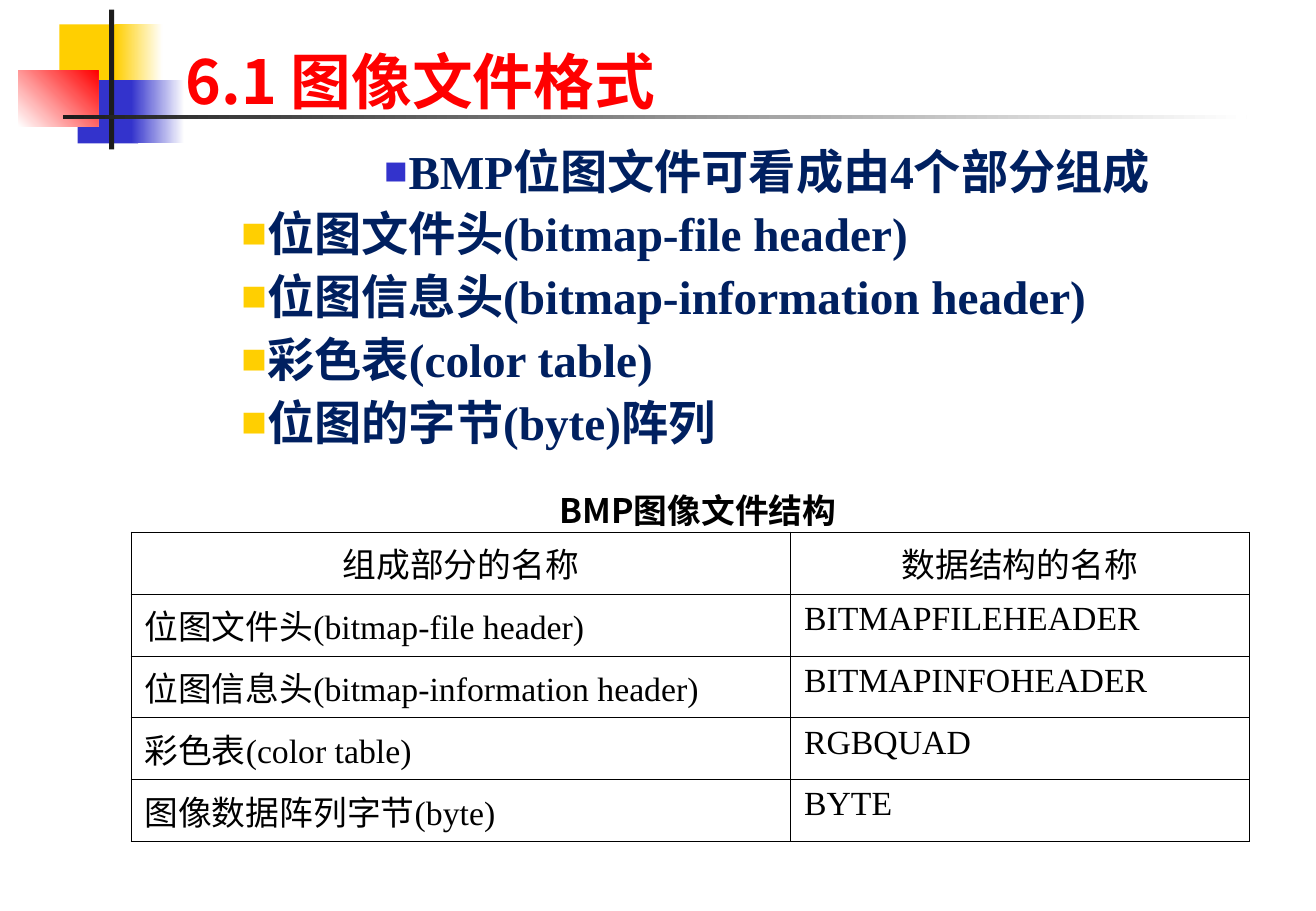
from dataclasses import dataclass

from lxml import etree
from pptx import Presentation
from pptx import util as u
from pptx.dml.color import RGBColor
from pptx.enum import shapes, text
from pptx.oxml import ns


@dataclass(frozen=True)
class Theme:
    yellow: str = "FFCF01"
    blue: str = "3333CC"
    red: str = "FF0000"
    dark: str = "1C1C1C"
    white: str = "FFFFFF"
    navy: str = "002060"
    black: str = "000000"
    sans: str = "Noto Sans CJK SC"
    serif: str = "Times New Roman"
    title_size: float = 36
    body_size: float = 28
    table_size: float = 20
    border: float = 0.45


@dataclass(frozen=True)
class Box:
    left: float
    top: float
    width: float
    height: float

    def share(self, left, top, width, height):
        """Inner box, given in percent of this one."""
        return Box(self.left + self.width * left / 100,
                   self.top + self.height * top / 100,
                   self.width * width / 100, self.height * height / 100)

    def place(self):
        return [u.Inches(side) for side in (self.left, self.top, self.width, self.height)]


THEME = Theme()
PAGE = Box(0, 0, 10.84, 7.5)

TITLE = "6.1 图像文件格式"
LEAD = "BMP位图文件可看成由4个部分组成"
SECTIONS = ["位图文件头(bitmap-file header)", "位图信息头(bitmap-information header)",
            "彩色表(color table)", "位图的字节(byte)阵列"]
CAPTION = "BMP图像文件结构"
ROWS = [("组成部分的名称", "数据结构的名称"),
        (SECTIONS[0], "BITMAPFILEHEADER"),
        (SECTIONS[1], "BITMAPINFOHEADER"),
        (SECTIONS[2], "RGBQUAD"),
        ("图像数据阵列字节(byte)", "BYTE")]


def rgb(color):
    return RGBColor.from_string(color)


def write(paragraph, words, size, color, name, bold=False):
    paragraph.text = words
    font = paragraph.font
    font.size, font.name, font.bold = u.Pt(size), name, bold
    font.color.rgb = rgb(color)


def move(shape, box):
    shape.left, shape.top, shape.width, shape.height = box.place()


# Header ornament: colour blocks and two crossing bars
def add_ornament(slide, box):
    theme = THEME
    blocks = [
        ((3.36, 10.43, 5.14, 45.22), (theme.yellow,), 0),
        ((7.91, 10.43, 3.85, 45.22), (theme.yellow, theme.white), 0),
        ((4.84, 50.43, 4.94, 45.22), (theme.blue,), 0),
        ((9.19, 50.43, 4.35, 45.22), (theme.blue, theme.white), 0),
        ((0, 43.48, 6.52, 40), (theme.white, theme.red), 45),
        ((7.41, 0, 0.4, 100), (theme.dark,), 0),
        ((3.66, 75.65, 96.34, 2.61), (theme.dark, theme.white), 0),
    ]
    for area, colors, angle in blocks:
        block = slide.shapes.add_shape(shapes.MSO_SHAPE.RECTANGLE, *box.share(*area).place())
        block.shadow.inherit = False
        block.line.fill.background()
        if len(colors) == 1:
            block.fill.solid()
            block.fill.fore_color.rgb = rgb(colors[0])
        else:
            block.fill.gradient()
            block.fill.gradient_angle = angle
            for stop, color in zip(block.fill.gradient_stops, colors):
                stop.color.rgb = rgb(color)


def add_title(slide, box):
    title = slide.shapes.title
    move(title, box)
    frame = title.text_frame
    frame.auto_size = text.MSO_AUTO_SIZE.NONE
    frame.vertical_anchor = text.MSO_ANCHOR.BOTTOM
    paragraph = frame.paragraphs[0]
    write(paragraph, TITLE, THEME.title_size, THEME.red, THEME.sans, True)
    paragraph.alignment = text.PP_ALIGN.LEFT
    slide.shapes._spTree.append(title._element)  # in front of the ornament


def set_bullet(paragraph, margin, color, percent):
    properties = paragraph._p.get_or_add_pPr()
    properties.set("marL", str(u.Inches(margin)))
    properties.set("indent", str(u.Inches(0.25)))
    bullet = [etree.Element(ns.qn(tag)) for tag in ("a:buClr", "a:buSzPct", "a:buFont", "a:buChar")]
    etree.SubElement(bullet[0], ns.qn("a:srgbClr")).set("val", color)
    bullet[1].set("val", str(percent * 1000))
    bullet[2].set("typeface", THEME.sans)
    bullet[3].set("char", "■")
    defaults = properties.find(ns.qn("a:defRPr"))
    for element in bullet:
        defaults.addprevious(element)


# Lead line set further in, then the four sections of the file
def add_body(slide, box):
    body = slide.placeholders[1]
    move(body, box)
    frame = body.text_frame
    frame.auto_size = text.MSO_AUTO_SIZE.NONE
    lines = [(LEAD, 1, 1.42, THEME.blue, 50)]
    lines += [(section, 2, 0.24, THEME.yellow, 55) for section in SECTIONS]
    for index, (words, level, margin, color, percent) in enumerate(lines):
        paragraph = frame.add_paragraph() if index else frame.paragraphs[0]
        write(paragraph, words, THEME.body_size, THEME.navy, THEME.serif, True)
        paragraph.level = level
        paragraph.alignment = text.PP_ALIGN.LEFT
        paragraph.line_spacing = 0.9
        paragraph.space_before = u.Pt(7)
        set_bullet(paragraph, margin, color, percent)
    slide.shapes._spTree.append(body._element)


def add_caption(slide, box):
    frame = slide.shapes.add_textbox(*box.place()).text_frame
    frame.word_wrap = True
    frame.vertical_anchor = text.MSO_ANCHOR.MIDDLE
    paragraph = frame.paragraphs[0]
    write(paragraph, CAPTION, THEME.table_size, THEME.black, THEME.sans, True)
    paragraph.alignment = text.PP_ALIGN.CENTER


def set_borders(cell):
    properties = cell._tc.get_or_add_tcPr()
    for index, side in enumerate(("a:lnL", "a:lnR", "a:lnT", "a:lnB")):
        line = etree.Element(ns.qn(side), w=str(u.Pt(THEME.border)))
        fill = etree.SubElement(line, ns.qn("a:solidFill"))
        etree.SubElement(fill, ns.qn("a:srgbClr")).set("val", THEME.black)
        properties.insert(index, line)


# Plain ruled table of file sections and data structures
def add_structure_table(slide, box):
    table = slide.shapes.add_table(len(ROWS), len(ROWS[0]), *box.place()).table
    table.first_row = table.horz_banding = False
    for column, share in zip(table.columns, (0.59, 0.41)):
        column.width = u.Inches(box.width * share)
    for row_index, row in enumerate(ROWS):
        for column_index, words in enumerate(row):
            cell = table.cell(row_index, column_index)
            cell.fill.background()
            cell.margin_left = cell.margin_right = u.Inches(0.11)
            paragraph = cell.text_frame.paragraphs[0]
            write(paragraph, words, THEME.table_size, THEME.black, THEME.serif)
            paragraph.alignment = text.PP_ALIGN.LEFT if row_index else text.PP_ALIGN.CENTER
            set_borders(cell)


presentation = Presentation()
presentation.slide_width, presentation.slide_height = PAGE.place()[2:]
slide = presentation.slides.add_slide(presentation.slide_layouts[1])
add_ornament(slide, PAGE.share(1.38, 1.07, 93.36, 15.33))
add_body(slide, PAGE.share(12.92, 15.6, 84.96, 35.87))
add_structure_table(slide, PAGE.share(9.96, 58.4, 84.96, 34))
add_caption(slide, PAGE.share(32.66, 53.07, 40.77, 5.87))
add_title(slide, PAGE.share(13.19, 2.13, 85.15, 11.33))
presentation.save("out.pptx")
